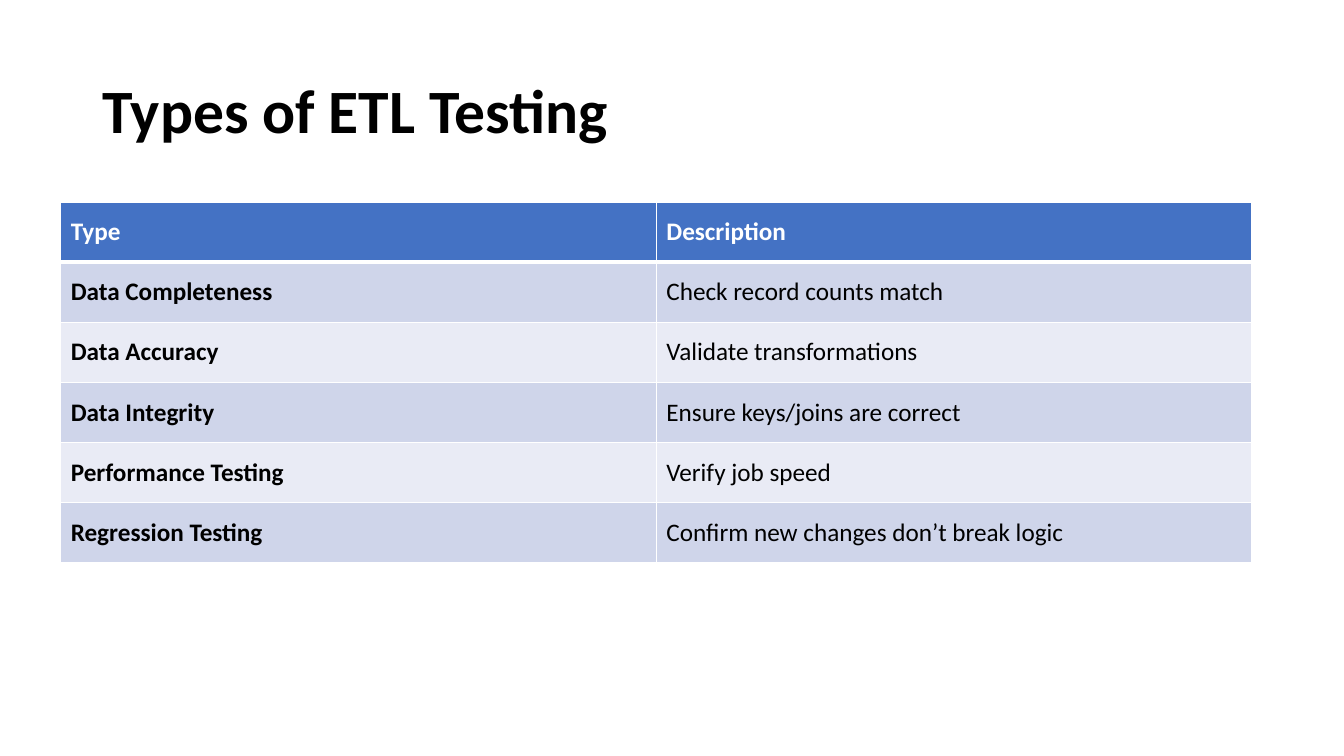
from lxml.etree import SubElement
from pptx import Presentation
from pptx.dml.color import RGBColor
from pptx.enum.text import MSO_ANCHOR as Anchor
from pptx.oxml.ns import qn
from pptx.util import Cm, Pt


def colour(hex_code):
    return RGBColor.from_string(hex_code)


class Slide:
    """Holds the style and the current page."""
    font = "Calibri"
    black, white = "000000", "FFFFFF"
    header_fill = "4472C4"
    band_fills = ("CFD5EA", "E9EBF5")

    def __init__(self, deck):
        self.page = deck.slides.add_slide(deck.slide_layouts[6])

    def add_span(self, para, text, size, ink, bold):
        span = para.add_run()
        span.text = text
        span.font.name = self.font
        span.font.size = Pt(size)
        span.font.bold = bold
        span.font.color.rgb = colour(ink)

    def title(self, text, left, top, width, height):
        box = self.page.shapes.add_textbox(Cm(left), Cm(top), Cm(width), Cm(height))
        frame = box.text_frame
        frame.word_wrap = True
        frame.vertical_anchor = Anchor.MIDDLE
        para = frame.paragraphs[0]
        para.line_spacing = 0.9
        self.add_span(para, text, 44, self.black, True)

    def borders(self, cell, top, bottom):
        properties = cell._tc.get_or_add_tcPr()
        for side, points in (("L", 1), ("R", 1), ("T", top), ("B", bottom)):
            line = SubElement(properties, qn(f"a:ln{side}"), w=str(Pt(points)))
            fill = SubElement(line, qn("a:solidFill"))
            SubElement(fill, qn("a:srgbClr"), val=self.white)

    def table(self, rows, left, top, width, height):
        grid = self.page.shapes.add_table(
            len(rows), len(rows[0]), Cm(left), Cm(top), Cm(width), Cm(height)).table
        for row, texts in enumerate(rows):
            header = row == 0
            fill = self.header_fill if header else self.band_fills[(row - 1) % 2]
            for column, text in enumerate(texts):
                cell = grid.cell(row, column)
                # Borders come before the fill in the cell properties
                self.borders(cell, top=3 if row == 1 else 1, bottom=3 if header else 1)
                cell.fill.solid()
                cell.fill.fore_color.rgb = colour(fill)
                cell.vertical_anchor = Anchor.MIDDLE
                self.add_span(cell.text_frame.paragraphs[0], text, 18,
                              self.white if header else self.black,
                              header or column == 0)


def main():
    deck = Presentation()
    deck.slide_width, deck.slide_height = Cm(33.87), Cm(19.05)
    slide = Slide(deck)

    # Heading
    slide.title("Types of ETL Testing", 2.33, 1.01, 29.21, 3.68)

    # Test types and what each one checks
    slide.table([
        ("Type", "Description"),
        ("Data Completeness", "Check record counts match"),
        ("Data Accuracy", "Validate transformations"),
        ("Data Integrity", "Ensure keys/joins are correct"),
        ("Performance Testing", "Verify job speed"),
        ("Regression Testing", "Confirm new changes don’t break logic"),
    ], 1.53, 5.09, 30.02, 9.09)

    deck.save("out.pptx")


if __name__ == "__main__":
    main()
